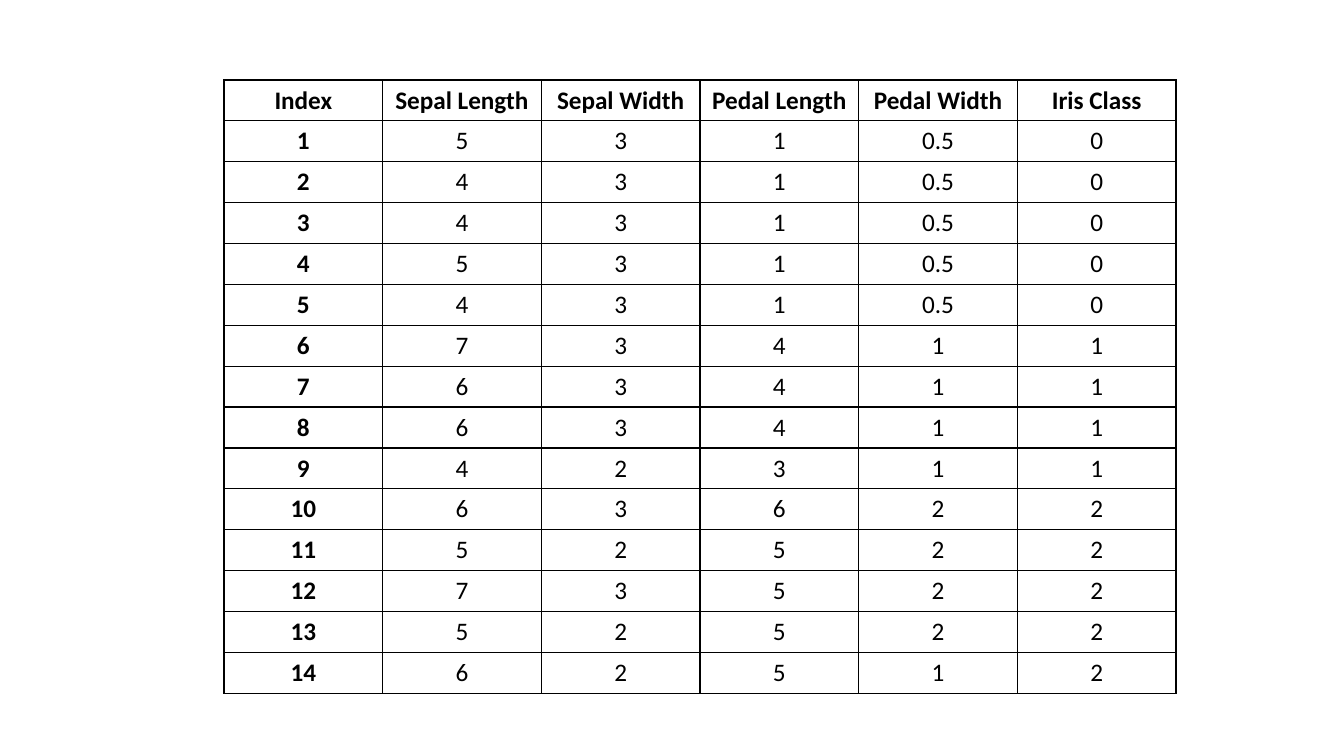
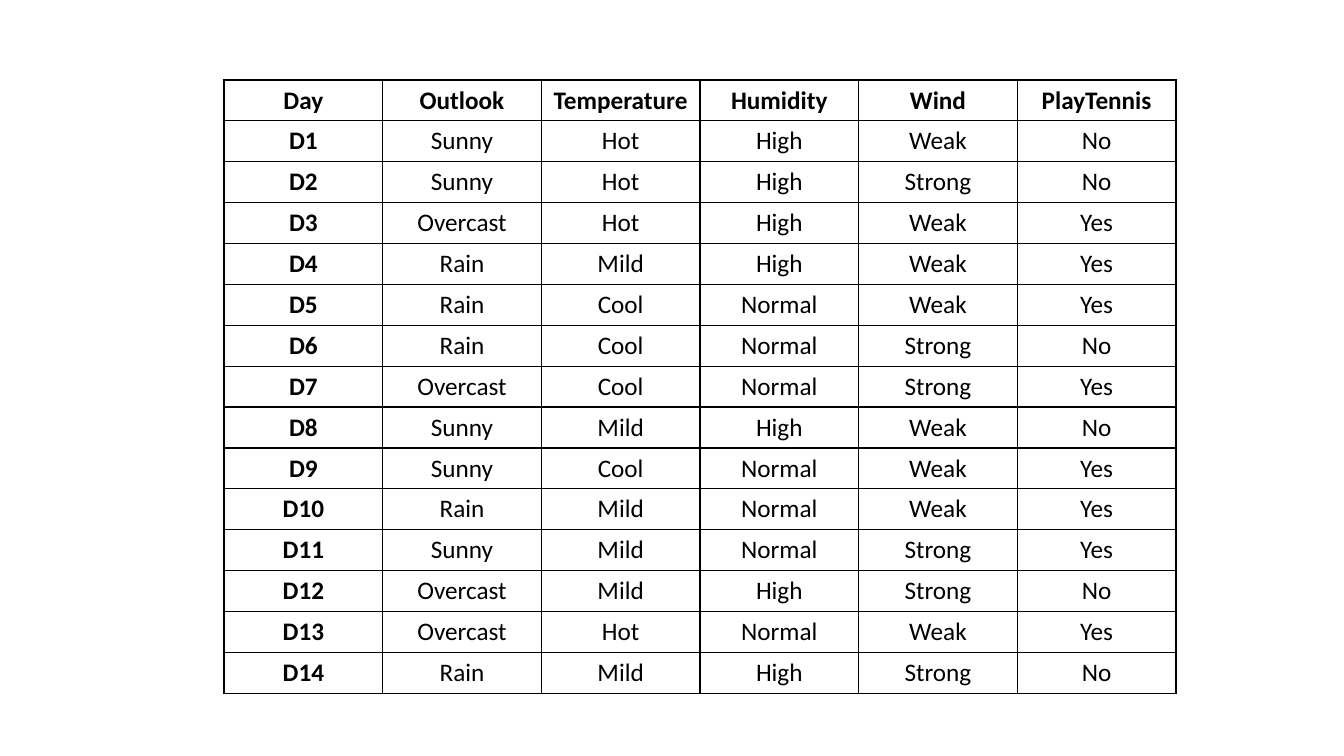
from dataclasses import dataclass

from lxml import etree
from pptx import Presentation
from pptx import util as u
from pptx.dml.color import RGBColor
from pptx.enum import text
from pptx.oxml import ns

PIXEL = u.Inches(13.33) / 1344
BLANK_LAYOUT = 6


def px(pixels):
    return u.Emu(round(pixels * PIXEL))


@dataclass(frozen=True)
class Theme:
    font: str = "Calibri"
    size: int = 18
    ink: str = "000000"
    border: float = 1


class Deck:
    def __init__(self, theme):
        self.theme = theme
        self.presentation = Presentation()
        self.presentation.slide_width = px(1344)
        self.presentation.slide_height = px(756)
        self.slide = None

    def add_slide(self):
        layout = self.presentation.slide_layouts[BLANK_LAYOUT]
        self.slide = self.presentation.slides.add_slide(layout)

    def add_table(self, rows, left, top, width, height):
        """Equal rows and columns; header row and first column are bold."""
        table = self.slide.shapes.add_table(
            len(rows), len(rows[0]), px(left), px(top), px(width), px(height)
        ).table
        table.first_row = table.horz_banding = False
        for row_index, row in enumerate(rows):
            for column_index, value in enumerate(row):
                is_heading = row_index == 0 or column_index == 0
                self.fill_cell(table.cell(row_index, column_index), value, is_heading)

    def fill_cell(self, cell, value, bold):
        self.add_borders(cell)
        cell.fill.background()
        cell.vertical_anchor = text.MSO_ANCHOR.MIDDLE
        cell.text = value
        paragraph = cell.text_frame.paragraphs[0]
        paragraph.alignment = text.PP_ALIGN.CENTER
        font = paragraph.font
        font.name = self.theme.font
        font.size = u.Pt(self.theme.size)
        font.bold = bold
        font.color.rgb = RGBColor.from_string(self.theme.ink)

    def add_borders(self, cell):
        properties = cell._tc.get_or_add_tcPr()
        for side in ("lnL", "lnR", "lnT", "lnB"):
            line = etree.SubElement(properties, ns.qn(f"a:{side}"))
            line.set("w", str(u.Pt(self.theme.border)))
            fill = etree.SubElement(line, ns.qn("a:solidFill"))
            etree.SubElement(fill, ns.qn("a:srgbClr")).set("val", self.theme.ink)

    def save(self):
        self.presentation.save("out.pptx")


# Table data: a header, then one line per row after its label
IRIS_HEADER = ["Index", "Sepal Length", "Sepal Width", "Pedal Length", "Pedal Width", "Iris Class"]
IRIS = """\
5 3 1 0.5 0
4 3 1 0.5 0
4 3 1 0.5 0
5 3 1 0.5 0
4 3 1 0.5 0
7 3 4 1 1
6 3 4 1 1
6 3 4 1 1
4 2 3 1 1
6 3 6 2 2
5 2 5 2 2
7 3 5 2 2
5 2 5 2 2
6 2 5 1 2"""

TENNIS_HEADER = ["Day", "Outlook", "Temperature", "Humidity", "Wind", "PlayTennis"]
TENNIS = """\
Sunny Hot High Weak No
Sunny Hot High Strong No
Overcast Hot High Weak Yes
Rain Mild High Weak Yes
Rain Cool Normal Weak Yes
Rain Cool Normal Strong No
Overcast Cool Normal Strong Yes
Sunny Mild High Weak No
Sunny Cool Normal Weak Yes
Rain Mild Normal Weak Yes
Sunny Mild Normal Strong Yes
Overcast Mild High Strong No
Overcast Hot Normal Weak Yes
Rain Mild High Strong No"""


def numbered_rows(header, lines, prefix=""):
    body = [
        [f"{prefix}{number}", *line.split()]
        for number, line in enumerate(lines.splitlines(), start=1)
    ]
    return [header, *body]


# Slides: one full table each, in the same place
deck = Deck(Theme())
for rows in (
    numbered_rows(IRIS_HEADER, IRIS),
    numbered_rows(TENNIS_HEADER, TENNIS, prefix="D"),
):
    deck.add_slide()
    deck.add_table(rows, left=224, top=80, width=952, height=613)
deck.save()
